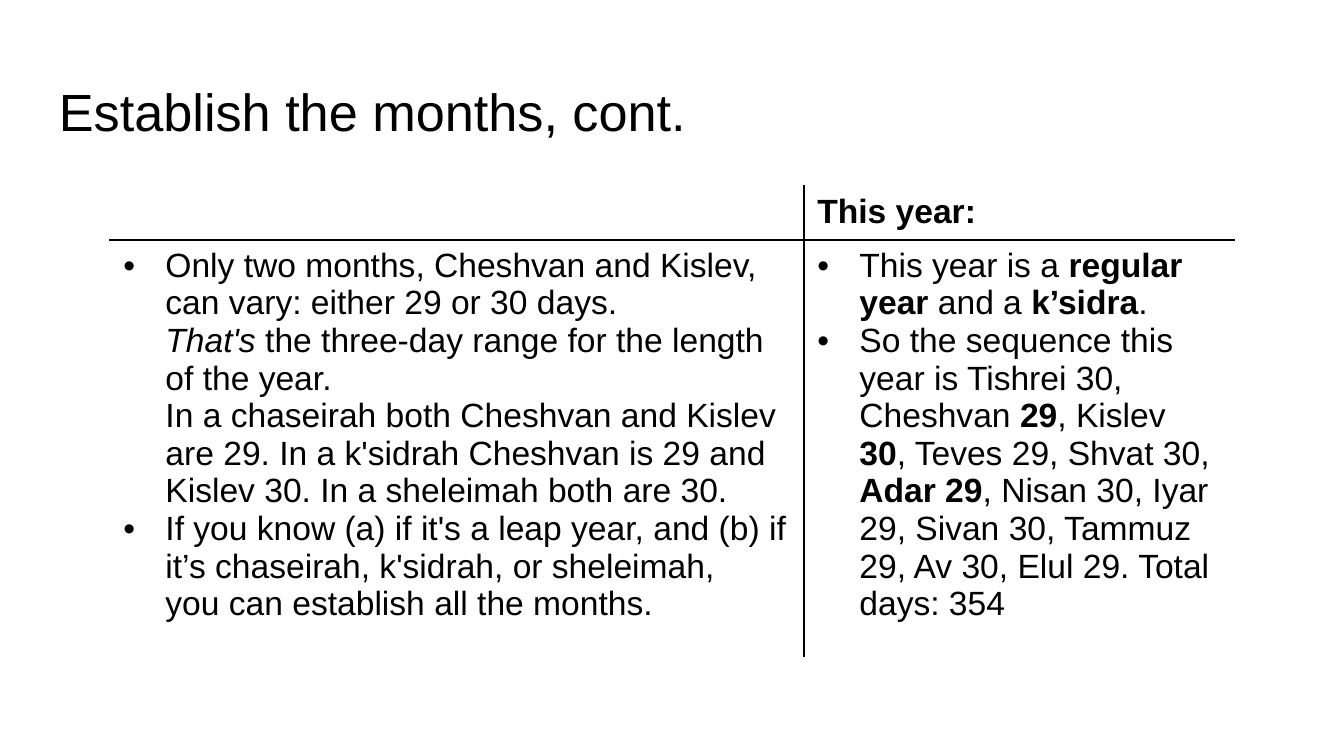
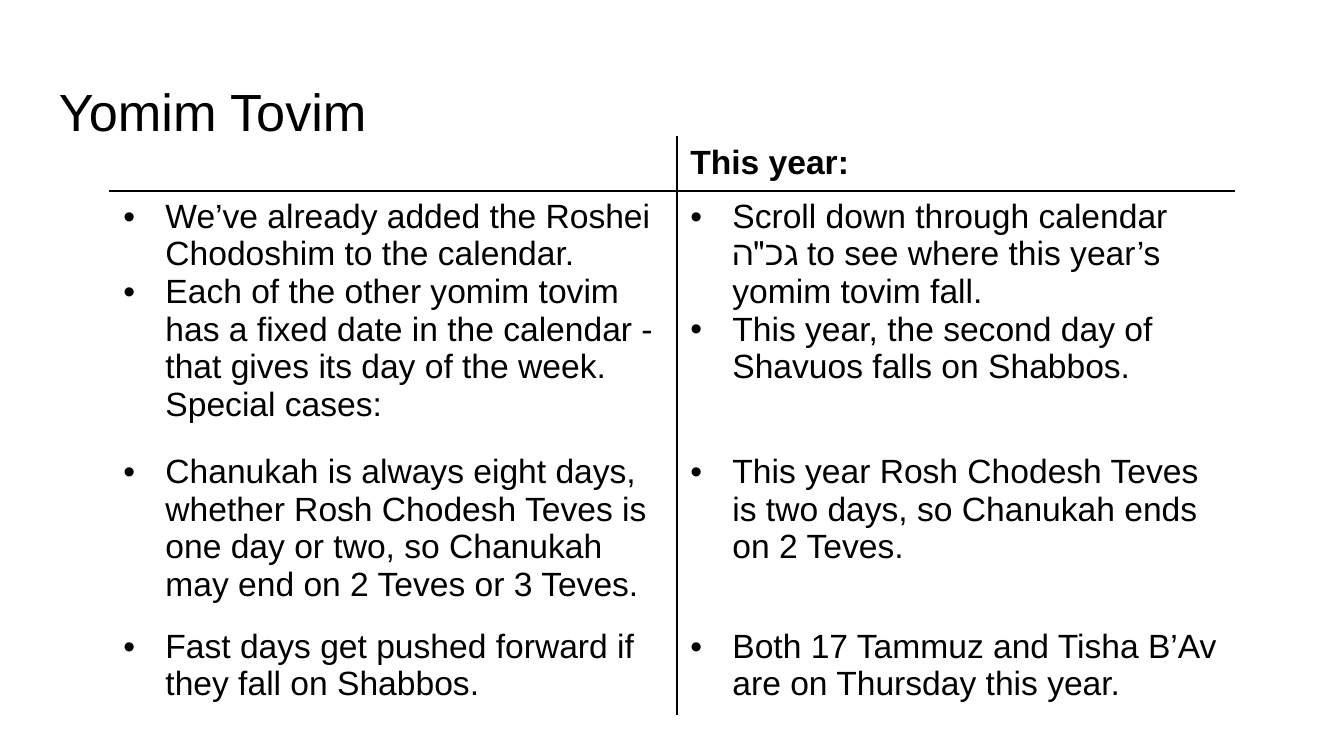
from lxml import etree
from pptx import Presentation
from pptx.dml.color import RGBColor
from pptx.enum.text import MSO_ANCHOR
from pptx.oxml.ns import qn
from pptx.util import Emu, Pt

TOP = MSO_ANCHOR.TOP
COLORS = {"ink": "000000", "paper": "FFFFFF"}
FONT = "Arial"
SCALE = 914400 / 134.4
TITLE_BOX = (46, 66, 1253, 84)
TABLE_LEFT = 110
HEADER_HEIGHT = 54
LINE_HEIGHT = 37.6
CELL_PADDING = 13
BULLET_INDENT = 42
BOLD, ITALIC = {"bold": True}, {"italic": True}

# A cell is a list of bullets; a bullet is a list of (text, style) spans.
SLIDES = [
    {
        "title": "Establish the months, cont.",
        "top": 186,
        "columns": (694, 430),
        "rows": [
            {"lines": 10, "cells": [
                [
                    [("Only two months, Cheshvan and Kislev, can vary: either 29 or 30 days.\n", {}),
                     ("That's", ITALIC),
                     (" the three-day range for the length of the year.\n"
                      "In a chaseirah both Cheshvan and Kislev are 29. In a k'sidrah Cheshvan "
                      "is 29 and Kislev 30. In a sheleimah both are 30.", {})],
                    [("If you know (a) if it's a leap year, and (b) if it’s chaseirah, "
                      "k'sidrah, or sheleimah,\nyou can establish all the months.", {})],
                ],
                [
                    [("This year is a ", {}), ("regular year ", BOLD), ("and a ", {}),
                     ("k’sidra", BOLD), (".", {})],
                    [("So the sequence this year is Tishrei 30, Cheshvan ", {}), ("29", BOLD),
                     (", Kislev ", {}), ("30", BOLD), (", Teves 29, Shvat 30, ", {}),
                     ("Adar 29", BOLD),
                     (", Nisan 30, Iyar 29, Sivan 30, Tammuz 29, Av 30, Elul 29. "
                      "Total days: 354", {})],
                ],
            ]},
        ],
    },
    {
        "title": "Yomim Tovim",
        "top": 137,
        "columns": (567, 557),
        "rows": [
            {"lines": 6, "cells": [
                [
                    [("We’ve already added the Roshei Chodoshim to the calendar.", {})],
                    [("Each of the other yomim tovim has a fixed date in the calendar - "
                      "that gives its day of the week.\nSpecial cases:", {})],
                ],
                [
                    [("Scroll down through calendar גכ\"ה to see where this year’s "
                      "yomim tovim fall.", {})],
                    [("This year, the second day of Shavuos falls on Shabbos.", {})],
                ],
            ]},
            {"lines": 4, "cells": [
                [[("Chanukah is always eight days, whether Rosh Chodesh Teves is one day "
                   "or two, so Chanukah may end on 2 Teves or 3 Teves.", {})]],
                [[("This year Rosh Chodesh Teves is two days, so Chanukah ends on 2 Teves.", {})]],
            ]},
            {"lines": 2, "cells": [
                [[("Fast days get pushed forward if they fall on Shabbos.", {})]],
                [[("Both 17 Tammuz and Tisha B’Av are on Thursday this year.", {})]],
            ]},
        ],
    },
]
HEADER_CELLS = [[], [[("This year:", BOLD)]]]


def px(length):
    return Emu(round(length * SCALE))


def add_spans(para, spans, size):
    for text, style in spans:
        for index, line in enumerate(text.split("\n")):
            if index:
                para.add_line_break()
            if not line:
                continue
            span = para.add_run()
            span.text = line
            for name, value in {"name": FONT, "size": Pt(size), **style}.items():
                setattr(span.font, name, value)
            span.font.color.rgb = RGBColor.from_string(COLORS["ink"])


def add_bullet(para):
    properties = para._p.get_or_add_pPr()
    properties.set("marL", str(px(BULLET_INDENT)))
    properties.set("indent", str(-px(BULLET_INDENT)))
    color = etree.SubElement(properties, qn("a:buClr"))
    etree.SubElement(color, qn("a:srgbClr"), val=COLORS["ink"])
    etree.SubElement(properties, qn("a:buFont"), typeface=FONT)
    etree.SubElement(properties, qn("a:buChar"), char="•")


def set_borders(cell, sides):
    """Draw the four cell edges; a side without a colour gets no line."""
    properties = cell._tc.get_or_add_tcPr()
    for index, side in enumerate("LRTB"):
        line = etree.Element(qn(f"a:ln{side}"), w=str(Pt(1)))
        color = sides.get(side)
        if color:
            fill = etree.SubElement(line, qn("a:solidFill"))
            etree.SubElement(fill, qn("a:srgbClr"), val=COLORS[color])
        else:
            etree.SubElement(line, qn("a:noFill"))
        properties.insert(index, line)


def fill_cell(cell, paragraphs, bulleted):
    cell.fill.solid()
    cell.fill.fore_color.rgb = RGBColor.from_string(COLORS["paper"])
    cell.vertical_anchor = TOP
    frame = cell.text_frame
    for index, spans in enumerate(paragraphs):
        para = frame.add_paragraph() if index else frame.paragraphs[0]
        if bulleted:
            add_bullet(para)
        add_spans(para, spans, 18)


def add_title(page, text):
    box = page.shapes.add_textbox(*map(px, TITLE_BOX))
    frame = box.text_frame
    frame.word_wrap = True
    frame.vertical_anchor = TOP
    for side in ("left", "top", "right", "bottom"):
        setattr(frame, f"margin_{side}", px(CELL_PADDING))
    add_spans(frame.paragraphs[0], [(text, {})], 28)


def add_month_table(page, top, columns, rows):
    heights = [HEADER_HEIGHT] + [round(row["lines"] * LINE_HEIGHT) + CELL_PADDING for row in rows]
    cells = [HEADER_CELLS] + [row["cells"] for row in rows]
    area = (TABLE_LEFT, top, sum(columns), sum(heights))
    table = page.shapes.add_table(len(heights), len(columns), *map(px, area)).table
    table.first_row = table.horz_banding = False
    for column, width in zip(table.columns, columns):
        column.width = px(width)
    for row_index, height in enumerate(heights):
        table.rows[row_index].height = px(height)
        for column_index, paragraphs in enumerate(cells[row_index]):
            cell = table.cell(row_index, column_index)
            fill_cell(cell, paragraphs, bulleted=row_index > 0)
            sides = {"L": "ink" if column_index else "paper",
                     "R": "paper" if column_index else "ink"}
            if row_index == 0:
                sides.update(T="paper", B="ink")
            elif row_index == 1:
                sides["T"] = "ink"
            set_borders(cell, sides)


def main():
    deck = Presentation()
    deck.slide_width, deck.slide_height = px(1344), px(756)
    for content in SLIDES:
        page = deck.slides.add_slide(deck.slide_layouts[6])
        add_title(page, content["title"])
        add_month_table(page, content["top"], content["columns"], content["rows"])
    deck.save("out.pptx")


if __name__ == "__main__":
    main()
